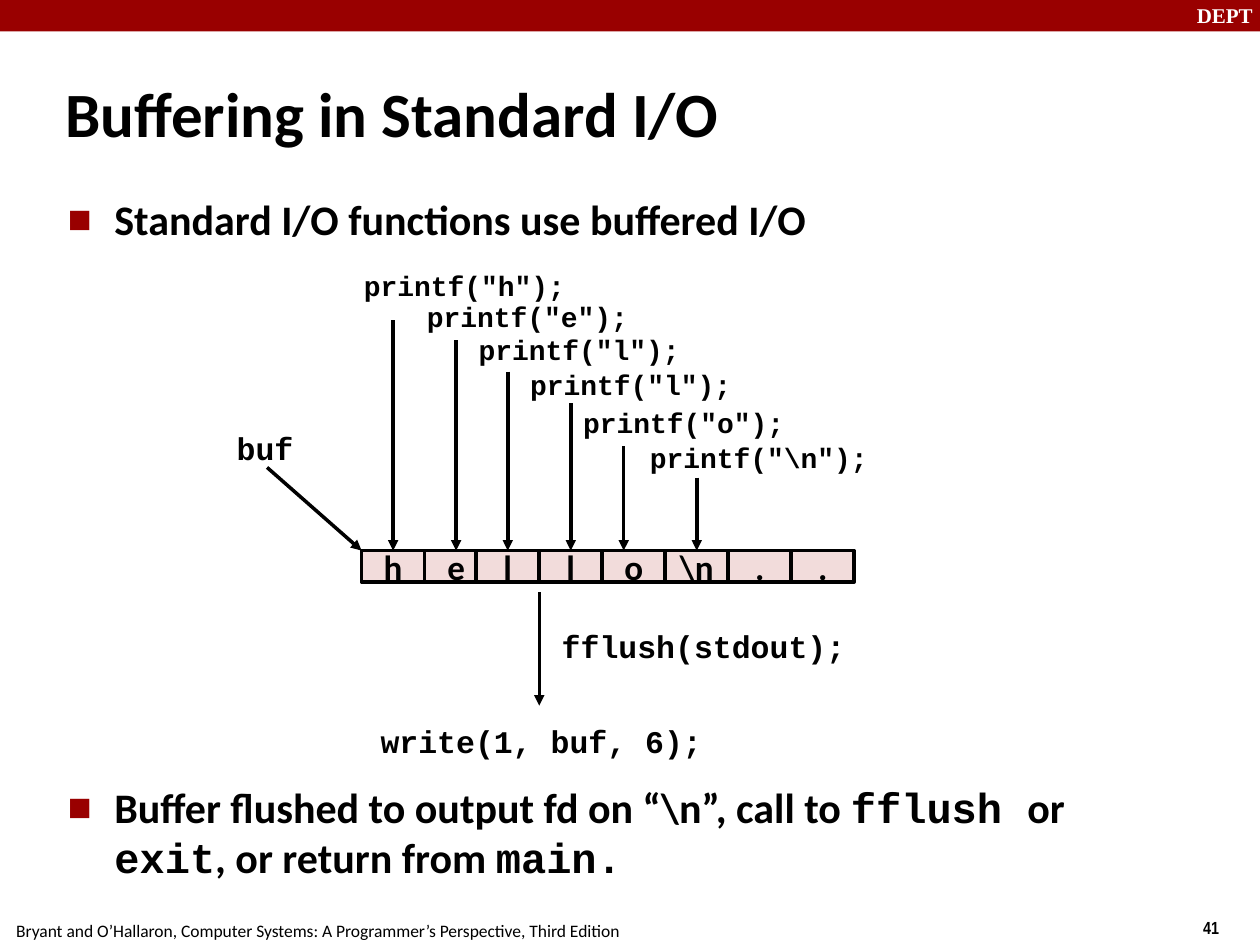
from pptx import Presentation
from pptx.dml.color import RGBColor
from pptx.enum.shapes import MSO_CONNECTOR as Connector, MSO_SHAPE as Shape
from pptx.enum.text import MSO_ANCHOR as Anchor, PP_ALIGN as Align
from pptx.oxml.ns import qn
from pptx.util import Inches, Pt
from lxml.etree import SubElement

COLORS = {"band": "990000", "cell": "F2DCDB", "ink": "000000", "paper": "FFFFFF"}
SANS, MONO = "Calibri", "Courier New"


def rgb(name):
    return RGBColor.from_string(COLORS[name])


def add_text(paragraph, text, size=24, font=SANS, color="ink", bold=True):
    run = paragraph.add_run()
    run.text = text
    run.font.size = Pt(size)
    run.font.name = font
    run.font.bold = bold
    run.font.color.rgb = rgb(color)


class SlideBuilder:
    """Draws styled elements on one slide."""

    def __init__(self, slide, line_width=2):
        self.shapes = slide.shapes
        self.line_width = Pt(line_width)

    def frame(self, left, top, width, height, wrap=False, anchor=Anchor.TOP):
        box = self.shapes.add_textbox(Inches(left), Inches(top), Inches(width), Inches(height))
        box.text_frame.word_wrap = wrap
        box.text_frame.vertical_anchor = anchor
        return box.text_frame

    def label(self, text, left, top, width, height, align=Align.LEFT,
              wrap=False, anchor=Anchor.TOP, **style):
        paragraph = self.frame(left, top, width, height, wrap, anchor).paragraphs[0]
        paragraph.alignment = align
        add_text(paragraph, text, **style)

    def rectangle(self, left, top, width, height, fill, outlined=False):
        box = self.shapes.add_shape(
            Shape.RECTANGLE, Inches(left), Inches(top), Inches(width), Inches(height))
        box.shadow.inherit = False
        box.fill.solid()
        box.fill.fore_color.rgb = rgb(fill)
        if outlined:
            box.line.color.rgb = rgb("ink")
            box.line.width = self.line_width
        else:
            box.line.fill.background()
        return box

    def cell(self, text, left, top, width, height):
        frame = self.rectangle(left, top, width, height, "cell", outlined=True).text_frame
        frame.word_wrap = False
        frame.vertical_anchor = Anchor.MIDDLE
        frame.paragraphs[0].alignment = Align.CENTER
        add_text(frame.paragraphs[0], text, size=20)

    def arrow(self, x1, y1, x2, y2):
        arrow = self.shapes.add_connector(
            Connector.STRAIGHT, Inches(x1), Inches(y1), Inches(x2), Inches(y2))
        arrow.line.color.rgb = rgb("ink")
        arrow.line.width = self.line_width
        SubElement(arrow.line._get_or_add_ln(), qn("a:tailEnd"), type="triangle")
        SubElement(arrow._element.spPr, qn("a:effectLst"))

    def bullet(self, paragraph, pieces, space_before):
        paragraph.space_before = Pt(space_before)
        properties = paragraph._p.get_or_add_pPr()
        properties.set("marL", str(Inches(0.38)))
        properties.set("indent", str(Inches(-0.37)))
        bullet_color = SubElement(properties, qn("a:buClr"))
        SubElement(bullet_color, qn("a:srgbClr"), val=COLORS["band"])
        SubElement(properties, qn("a:buSzPct"), val="60000")
        SubElement(properties, qn("a:buFont"), typeface=SANS)
        SubElement(properties, qn("a:buChar"), char="■")
        for text, font in pieces:
            add_text(paragraph, text, font=font)


def draw_header_and_footer(builder):
    builder.rectangle(0, 0, 10, 0.25, "band")
    builder.label("DEPT", 9.4, -0.03, 0.67, 0.3, size=12, font="Times New Roman", color="paper")
    builder.label("41", 9.45, 7.23, 0.75, 0.29, size=10, font="Arial Narrow")
    builder.label(
        "Bryant and O’Hallaron, Computer Systems: A Programmer’s Perspective, Third Edition",
        0.03, 7.25, 4.99, 0.27, size=10, bold=False)


def draw_points(builder):
    builder.label("Buffering in Standard I/O", 0.42, 0.48, 8.3, 0.83,
                  wrap=True, anchor=Anchor.MIDDLE, size=36)
    body = builder.frame(0.43, 1.49, 8.64, 5.76, wrap=True)
    builder.bullet(body.paragraphs[0], [("Standard I/O functions use buffered I/O", SANS)], 4.8)
    builder.bullet(body.add_paragraph(), [
        ("Buffer flushed to output fd on “\\n”, call to ", SANS), ("fflush ", MONO),
        ("or", SANS), (" exit", MONO), (", or return from ", SANS), ("main.", MONO)], 307)


def draw_buffer(builder):
    buffer_left, buffer_top, cell_width, cell_height = 2.87, 4.37, 0.5, 0.25
    for index, character in enumerate(["h", "e", "l", "l", "o", "\\n", ".", "."]):
        overlap = 0.09 if index > 1 else 0
        builder.cell(character, buffer_left + index * cell_width - overlap,
                     buffer_top, cell_width, cell_height)

    calls = [
        ("h", 2.79, 2.08, 3.12, 2.54),
        ("e", 3.29, 2.33, 3.62, 2.7),
        ("l", 3.7, 2.59, 4.03, 2.95),
        ("l", 4.11, 2.87, 4.53, 3.2),
        ("o", 4.53, 3.17, 4.95, 3.54),
        ("\\n", 5.06, 3.45, 5.53, 3.79),
    ]
    for character, call_left, call_top, arrow_x, arrow_top in calls:
        call_width = 1.67 + 0.13 * len(character)
        builder.label(f'printf("{character}");', call_left, call_top, call_width, 0.36,
                      size=16, font=MONO)
        builder.arrow(arrow_x, arrow_top, arrow_x, buffer_top)

    builder.label("buf", 1.78, 3.36, 0.65, 0.4, size=18, font=MONO)
    builder.arrow(2.12, 3.71, buffer_left, buffer_top)
    builder.label("fflush(stdout);", 4.36, 4.93, 2.45, 0.4, size=18, font=MONO)
    builder.arrow(4.28, 4.7, 4.28, 5.6)
    builder.label("write(1, buf, 6);", 2.92, 5.68, 2.75, 0.4,
                  align=Align.CENTER, size=18, font=MONO)


def main():
    deck = Presentation()
    deck.slide_width, deck.slide_height = Inches(10), Inches(7.5)
    builder = SlideBuilder(deck.slides.add_slide(deck.slide_layouts[6]))
    draw_header_and_footer(builder)
    draw_points(builder)
    draw_buffer(builder)
    deck.save("out.pptx")


if __name__ == "__main__":
    main()
